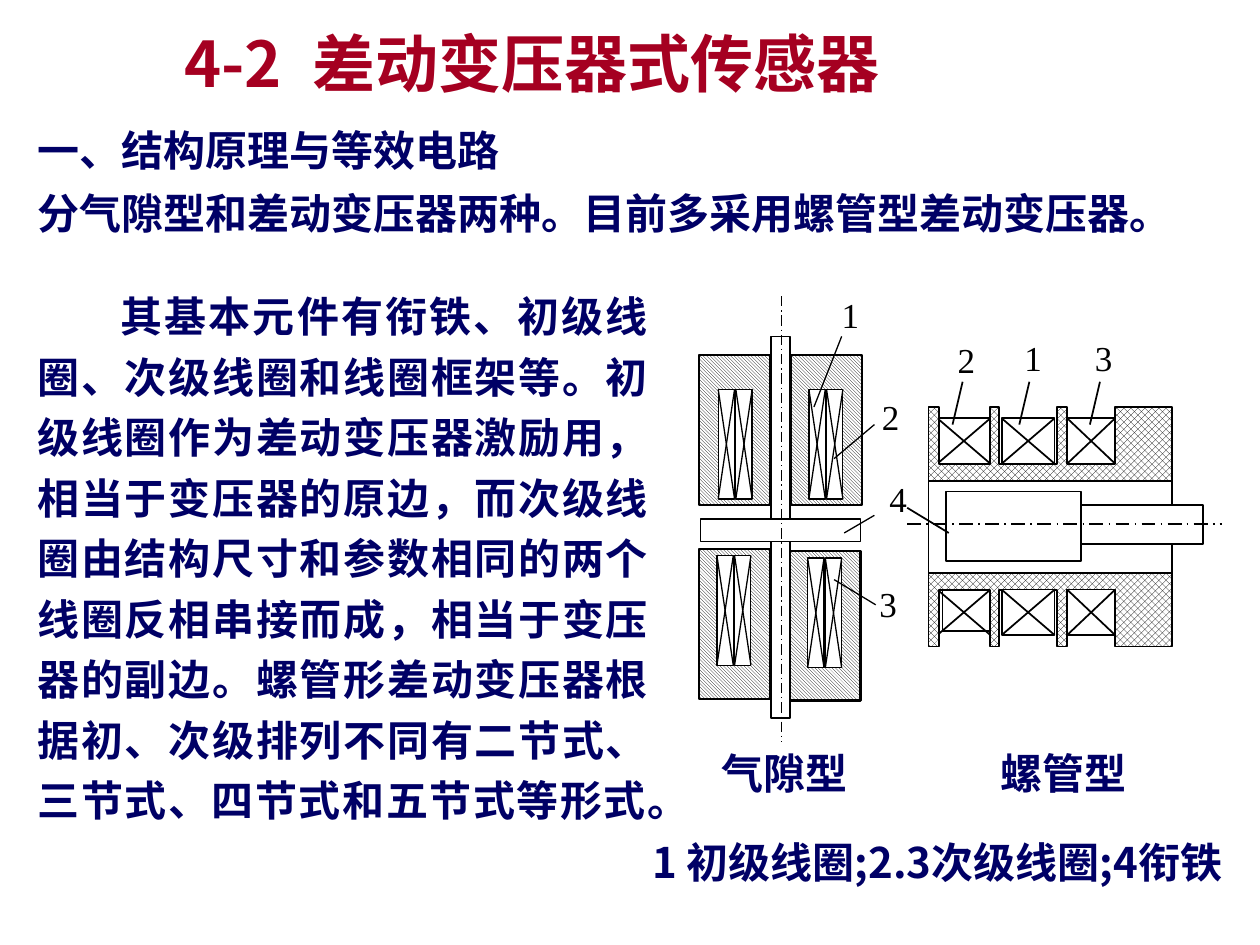
from dataclasses import dataclass

from lxml.etree import SubElement
from pptx import Presentation
from pptx.dml.color import RGBColor
from pptx.enum.dml import MSO_LINE_DASH_STYLE as Dash, MSO_PATTERN_TYPE as Pattern
from pptx.enum.shapes import MSO_CONNECTOR_TYPE as Link, MSO_SHAPE as Preset
from pptx.enum.text import MSO_ANCHOR as Anchor, MSO_AUTO_SIZE as Fit, PP_ALIGN as Align
from pptx.oxml.ns import qn
from pptx.util import Inches, Pt


@dataclass(frozen=True)
class Theme:
    heading: RGBColor = RGBColor(0xA5, 0x00, 0x21)
    body: RGBColor = RGBColor(0x00, 0x00, 0x66)
    ink: RGBColor = RGBColor(0x00, 0x00, 0x00)
    paper: RGBColor = RGBColor(0xFF, 0xFF, 0xFF)
    face: str = "Noto Sans CJK SC"
    label_face: str = "Times New Roman"
    heading_size: int = 36
    body_size: int = 24
    label_size: int = 20
    thin: float = 0.75
    medium: float = 1
    thick: float = 1.25


def add_span(para, text, *, size, color, face, bold=True, tracking=0):
    span = para.add_run()
    span.text = text
    font = span.font
    font.size, font.bold, font.name = Pt(size), bold, face
    font.color.rgb = color
    properties = span._r.get_or_add_rPr()
    SubElement(properties, qn("a:ea")).set("typeface", face)
    if tracking:
        properties.set("spc", str(tracking * 100))


class Slide:
    def __init__(self, deck, theme):
        self.theme = theme
        self.page = deck.slides.add_slide(deck.slide_layouts[5])
        self.shapes = self.page.shapes

    def title(self, number, text, left, top, width, height):
        theme, box = self.theme, self.shapes.title
        box.left, box.top = Inches(left), Inches(top)
        box.width, box.height = Inches(width), Inches(height)
        frame = box.text_frame
        frame.auto_size, frame.vertical_anchor = Fit.NONE, Anchor.MIDDLE
        para = frame.paragraphs[0]
        para.alignment = Align.CENTER
        for part, tracking in ((number, 0), (" ", 9), (text, 0)):
            add_span(para, part, size=theme.heading_size, color=theme.heading,
                     face=theme.face, tracking=tracking)

    def box(self, left, top, width, height):
        box = self.shapes.add_textbox(Inches(left), Inches(top), Inches(width), Inches(height))
        box.text_frame.word_wrap = True
        return box.text_frame

    def text(self, lines, left, top, width, height, spacing=1.2, indent=0):
        theme, frame = self.theme, self.box(left, top, width, height)
        frame.auto_size = Fit.SHAPE_TO_FIT_TEXT
        for index, line in enumerate(lines):
            para = frame.add_paragraph() if index else frame.paragraphs[0]
            para.alignment, para.line_spacing = Align.JUSTIFY, spacing
            if indent:
                para._p.get_or_add_pPr().set("indent", str(Inches(indent)))
            add_span(para, line, size=theme.body_size, color=theme.body, face=theme.face)

    def label(self, text, left, top):
        theme, frame = self.theme, self.box(left, top, 0.26, 0.34)
        frame.margin_left = frame.margin_right = frame.margin_top = frame.margin_bottom = 0
        para = frame.paragraphs[0]
        para.alignment = Align.JUSTIFY
        add_span(para, text, size=theme.label_size, color=theme.ink,
                 face=theme.label_face, bold=False)

    def finish(self, shape, weight, pattern=None):
        shape.shadow.inherit = False
        shape.line.color.rgb, shape.line.width = self.theme.ink, Pt(weight)
        fill = shape.fill
        if pattern:
            fill.patterned()
            fill.pattern = pattern
            fill.fore_color.rgb, fill.back_color.rgb = self.theme.ink, self.theme.paper
        else:
            fill.solid()
            fill.fore_color.rgb = self.theme.paper

    def block(self, left, top, width, height, weight, pattern=None):
        shape = self.shapes.add_shape(Preset.RECTANGLE, Inches(left), Inches(top),
                                      Inches(width), Inches(height))
        self.finish(shape, weight, pattern)

    def line(self, start, end, weight, dash=None):
        line = self.shapes.add_connector(Link.STRAIGHT, *map(Inches, (*start, *end)))
        line.line.color.rgb, line.line.width = self.theme.ink, Pt(weight)
        if dash:
            line.line.dash_style = dash
        SubElement(line._element.spPr, qn("a:effectLst"))

    def cross(self, left, top, width, height, weight):
        right, bottom = left + width, top + height
        self.line((right, top), (left, bottom), weight)
        self.line((left, top), (right, bottom), weight)

    def coil(self, left, top, width, height, weight):
        self.block(left, top, width, height, weight)
        self.cross(left, top, width, height, weight)

    def core(self, left, top, coil_left, coil_top):
        self.block(left, top, 0.56, 1.19, self.theme.thick, Pattern.LIGHT_DOWNWARD_DIAGONAL)
        for offset in (0, 0.14):
            self.coil(coil_left + offset, coil_top, 0.13, 0.87, self.theme.thin)

    def bobbin(self, tip, floor, base):
        points = [(7.37, tip), (7.37, base), (9.3, base), (9.3, tip)]
        for right, left in ((8.85, 8.47), (8.39, 7.93), (7.86, 7.45)):
            points += [(right, tip), (right, floor), (left, floor), (left, tip)]
        corners = [(Inches(x), Inches(y)) for x, y in points]
        builder = self.shapes.build_freeform(*corners[0])
        builder.add_line_segments(corners[1:], close=True)
        self.finish(builder.convert_to_shape(), self.theme.medium, Pattern.OUTLINED_DIAMOND)


def draw_air_gap_type(slide):
    weight = slide.theme.thin
    slide.block(6.12, 2.67, 0.15, 3.03, weight)
    for place in ((5.55, 2.82, 5.7, 3.09), (6.28, 2.82, 6.42, 3.09),
                  (6.27, 4.37, 6.41, 4.43), (5.55, 4.36, 5.69, 4.41)):
        slide.core(*place)
    slide.block(5.56, 4.12, 1.27, 0.18, weight)
    slide.line((6.2, 2.35), (6.2, 5.89), weight, Dash.LONG_DASH_DOT)
    for text, left, top, start, end in (
        ("1", 6.68, 2.33, (6.68, 2.67), (6.46, 3.23)),
        ("2", 7, 3.14, (6.94, 3.37), (6.62, 3.64)),
        ("4", 7.06, 3.79, (6.94, 4.09), (6.7, 4.23)),
        ("3", 6.98, 4.62, (6.95, 4.8), (6.62, 4.6)),
    ):
        slide.label(text, left, top)
        slide.line(start, end, weight)


def draw_solenoid_type(slide):
    weight = slide.theme.medium
    slide.coil(7.44, 3.32, 0.42, 0.36, weight)
    slide.bobbin(tip=3.23, floor=3.68, base=3.82)
    slide.block(7.48, 4.68, 0.38, 0.33, weight)
    slide.cross(7.44, 4.68, 0.42, 0.36, weight)
    slide.bobbin(tip=5.13, floor=4.68, base=4.54)
    for top in (3.32, 4.68):
        for left, width in ((7.95, 0.42), (8.47, 0.38)):
            slide.coil(left, top, width, 0.36, weight)
    for place in ((7.37, 3.82, 1.93, 0.73), (7.51, 3.9, 1.07, 0.55), (8.58, 4.01, 0.97, 0.31)):
        slide.block(*place, weight)
    slide.line((7.2, 4.16), (9.7, 4.16), weight, Dash.LONG_DASH_DOT)
    for text, left, top in (("2", 7.6, 2.69), ("1", 8.13, 2.67), ("3", 8.69, 2.67)):
        slide.label(text, left, top)
        slide.line((left + 0.04, 3.03), (left - 0.04, 3.37), weight)
    slide.line((7.53, 4.23), (7.2, 4.03), weight)


def main():
    deck = Presentation()
    deck.slide_width, deck.slide_height = Inches(10), Inches(7.5)
    slide = Slide(deck, Theme())
    slide.title("4-2", "差动变压器式传感器", 0.51, 0.21, 7.42, 0.57)
    slide.text(["一、结构原理与等效电路",
                "分气隙型和差动变压器两种。目前多采用螺管型差动变压器。"],
               0.2, 0.84, 9.48, 1.1, spacing=1.25)
    slide.text(["1 初级线圈;2.3次级线圈;4衔铁"], 5.08, 6.51, 4.92, 0.58)
    draw_air_gap_type(slide)
    draw_solenoid_type(slide)
    slide.text(["气隙型"], 5.63, 5.8, 1.34, 0.58)
    slide.text(["螺管型"], 7.84, 5.8, 1.65, 0.58)
    slide.text(["其基本元件有衔铁、初级线圈、次级线圈和线圈框架等。初级线圈作为差动变压器激励用，"
                "相当于变压器的原边，而次级线圈由结构尺寸和参数相同的两个线圈反相串接而成，"
                "相当于变压器的副边。螺管形差动变压器根据初、次级排列不同有二节式、三节式、"
                "四节式和五节式等形式。"], 0.2, 2.18, 5.04, 4.89, indent=0.66)
    deck.save("out.pptx")


if __name__ == "__main__":
    main()
